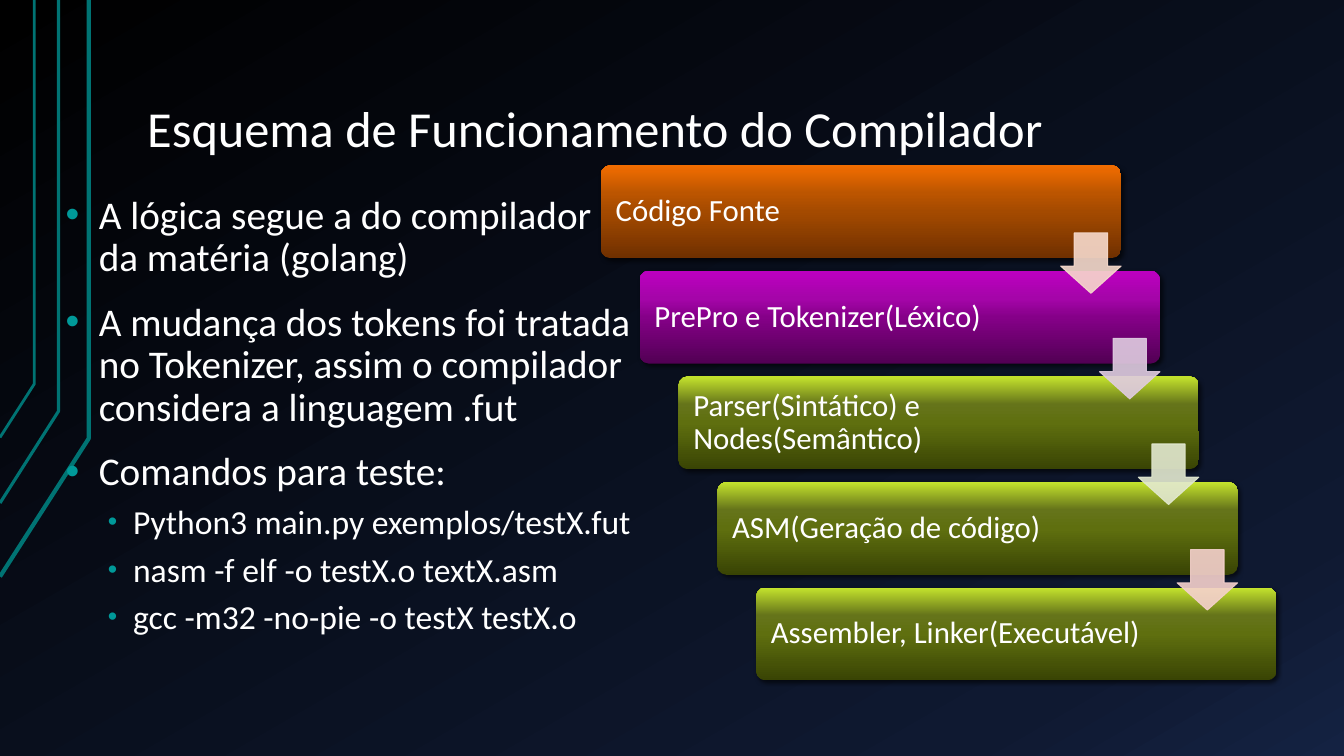
from lxml import etree
from pptx import Presentation
from pptx.dml.color import RGBColor
from pptx.enum.shapes import MSO_SHAPE
from pptx.enum.text import MSO_ANCHOR, MSO_AUTO_SIZE, PP_ALIGN
from pptx.oxml.ns import qn
from pptx.util import Inches, Pt

ROUND_RECT = MSO_SHAPE.ROUNDED_RECTANGLE
DOWN_ARROW = MSO_SHAPE.DOWN_ARROW
LEFT = PP_ALIGN.LEFT
TOP, MIDDLE, BOTTOM = MSO_ANCHOR.TOP, MSO_ANCHOR.MIDDLE, MSO_ANCHOR.BOTTOM
NO_FIT = MSO_AUTO_SIZE.NONE

FONT = "Calibri"
WHITE = RGBColor(0xFF, 0xFF, 0xFF)
BLACK = RGBColor(0, 0, 0)
RAIL = RGBColor(0x00, 0x73, 0x73)
BULLET = RGBColor(0x00, 0x99, 0x99)
NIGHT = [(0, BLACK), (85, RGBColor(0x0F, 0x19, 0x31)),
         (100, RGBColor(0x14, 0x22, 0x42))]


def gradient_stops(*colours):
    return list(zip((0, 50, 70, 100), map(RGBColor.from_string, colours)))


ORANGE = gradient_stops("703000", "A44A00", "BC5500", "F26D00")
PURPLE = gradient_stops("520054", "850088", "A505A9", "BC00C0")
GREEN = gradient_stops("394404", "5F6F0F", "65741A", "C4E32D")
PEACH = RGBColor(0xF7, 0xDA, 0xCC)
LILAC = RGBColor(0xE0, 0xCC, 0xE1)
LIME = RGBColor(0xE3, 0xE9, 0xD0)
ROSE = RGBColor(0xF5, 0xD1, 0xCD)

# Stage label, box gradient, colour of the arrow to the next stage
STAGES = [
    ("Código Fonte", ORANGE, PEACH),
    ("PrePro e Tokenizer(Léxico)", PURPLE, LILAC),
    ("Parser(Sintático) e Nodes(Semântico)", GREEN, LIME),
    ("ASM(Geração de código)", GREEN, ROSE),
    ("Assembler, Linker(Executável)", GREEN, None),
]
NOTES = [
    (0, "A lógica segue a do compilador da matéria (golang)"),
    (0, "A mudança dos tokens foi tratada no Tokenizer, assim o compilador "
        "considera a linguagem .fut"),
    (0, "Comandos para teste:"),
    (1, "Python3 main.py exemplos/testX.fut"),
    (1, "nasm -f elf -o testX.o textX.asm"),
    (1, "gcc -m32 -no-pie -o testX testX.o"),
]
# Size, space before, left margin, hanging indent, bullet size in percent
NOTE_LEVELS = [(28, 16, 0.33, 0.33, 100), (24, 8, 0.67, 0.25, 80)]
# Bottom y, bend x, bend y, line width
RAILS = [(5.72, 0.88, 4.35, 3), (4.99, 0.58, 4.08, 2.25), (4.34, 0.34, 3.81, 2)]

# Staircase of stages
FIRST_X, FIRST_Y = 5.96, 1.64
STEP_X = (7.5 - FIRST_X) / 4
STEP_Y = (5.83 - FIRST_Y) / 4
BOX_W, BOX_H = 5.16, 0.92
ARROW = 0.6
ARROW_DY = 0.67


def add_xml(parent, tag, **attrs):
    el = etree.SubElement(parent, qn(tag))
    for name, value in attrs.items():
        el.set(name, str(value))
    return el


def add_colour(parent, colour, alpha=100):
    clr = add_xml(parent, "a:srgbClr", val=colour)
    if alpha < 100:
        add_xml(clr, "a:alpha", val=alpha * 1000)


def set_gradient(fill, owner, stops, angle):
    """Fill with any number of stops; the angle runs clockwise in degrees."""
    fill.gradient()
    grad = owner.find(".//" + qn("a:gradFill"))
    for child in list(grad):
        grad.remove(child)
    stop_list = add_xml(grad, "a:gsLst")
    for position, colour in stops:
        add_colour(add_xml(stop_list, "a:gs", pos=position * 1000), colour)
    add_xml(grad, "a:lin", ang=angle * 60000, scaled=0)


def set_shadow(sp):
    sp.shadow.inherit = False
    effects = sp.element.spPr.find(qn("a:effectLst"))
    outer = add_xml(effects, "a:outerShdw", blurRad=Pt(3), dist=Pt(2),
                    dir=45 * 60000, algn="tl", rotWithShape=0)
    add_colour(outer, BLACK, 60)


def set_frame(tf, anchor, x_inset, y_inset):
    tf.word_wrap = True
    tf.auto_size = NO_FIT
    tf.vertical_anchor = anchor
    tf.margin_left = tf.margin_right = Inches(x_inset)
    tf.margin_top = tf.margin_bottom = Inches(y_inset)


def write(p, text, size):
    p.text = text
    p.alignment = LEFT
    p.line_spacing = 0.9
    for r in p.runs:
        r.font.name = FONT
        r.font.size = Pt(size)
        r.font.color.rgb = WHITE


def add_rail(slide, bottom, bend_x, bend_y, width):
    builder = slide.shapes.build_freeform(0, Inches(bottom))
    builder.add_line_segments([(Inches(bend_x), Inches(bend_y)),
                               (Inches(bend_x), 0)], close=False)
    sp = builder.convert_to_shape()
    sp.fill.background()
    sp.line.color.rgb = RAIL
    sp.line.width = Pt(width)
    sp.shadow.inherit = False


def add_title(slide, text):
    title = slide.shapes.title
    title.left, title.top = Inches(1.33), Inches(0.3)
    title.width, title.height = Inches(11.33), Inches(1.34)
    set_frame(title.text_frame, BOTTOM, 0.13, 0.07)
    write(title.text_frame.paragraphs[0], text, 36)


def add_notes_list(slide):
    box = slide.shapes.add_textbox(Inches(0.52), Inches(1.87),
                                   Inches(5.91), Inches(4.88))
    tf = box.text_frame
    set_frame(tf, TOP, 0.13, 0.07)
    for i, (level, text) in enumerate(NOTES):
        size, before, margin, hanging, bullet_size = NOTE_LEVELS[level]
        p = tf.add_paragraph() if i else tf.paragraphs[0]
        write(p, text, size)
        p.level = level
        p.space_before = Pt(before)
        props = p._p.get_or_add_pPr()
        props.set("marL", str(Inches(margin)))
        props.set("indent", str(-Inches(hanging)))
        add_colour(add_xml(props, "a:buClr"), BULLET)
        add_xml(props, "a:buSzPct", val=bullet_size * 1000)
        add_xml(props, "a:buFont", typeface="Arial")
        add_xml(props, "a:buChar", char="•")


def add_stage(slide, x, y, text, stops):
    sp = slide.shapes.add_shape(ROUND_RECT, Inches(x), Inches(y),
                                Inches(BOX_W), Inches(BOX_H))
    sp.adjustments[0] = 0.1
    set_gradient(sp.fill, sp.element.spPr, stops, 270)
    sp.line.fill.background()
    set_shadow(sp)
    set_frame(sp.text_frame, MIDDLE, 0.12, 0.12)
    sp.text_frame.margin_right = Inches(1.09)
    write(sp.text_frame.paragraphs[0], text, 22)


def add_stage_arrow(slide, x, y, colour):
    sp = slide.shapes.add_shape(DOWN_ARROW, Inches(x), Inches(y),
                                Inches(ARROW), Inches(ARROW))
    sp.adjustments[0], sp.adjustments[1] = 0.55, 0.45
    sp.fill.solid()
    sp.fill.fore_color.rgb = colour
    sp.line.color.rgb = colour
    sp.line.width = Pt(0.75)
    sp.shadow.inherit = False
    for clr in sp.element.spPr.iter(qn("a:srgbClr")):
        add_xml(clr, "a:alpha", val=90000)


def main():
    prs = Presentation()
    prs.slide_width, prs.slide_height = Inches(13.33), Inches(7.5)
    slide = prs.slides.add_slide(prs.slide_layouts[5])
    set_gradient(slide.background.fill, slide.element, NIGHT, 60)
    for rail in RAILS:
        add_rail(slide, *rail)
    add_title(slide, "Esquema de Funcionamento do Compilador")
    add_notes_list(slide)
    steps = [(FIRST_X + i * STEP_X, FIRST_Y + i * STEP_Y, *stage)
             for i, stage in enumerate(STAGES)]
    for x, y, text, stops, _ in steps:
        add_stage(slide, x, y, text, stops)
    for x, y, _, _, colour in steps[:-1]:
        add_stage_arrow(slide, x + BOX_W - ARROW, y + ARROW_DY, colour)
    prs.save("out.pptx")


if __name__ == "__main__":
    main()
